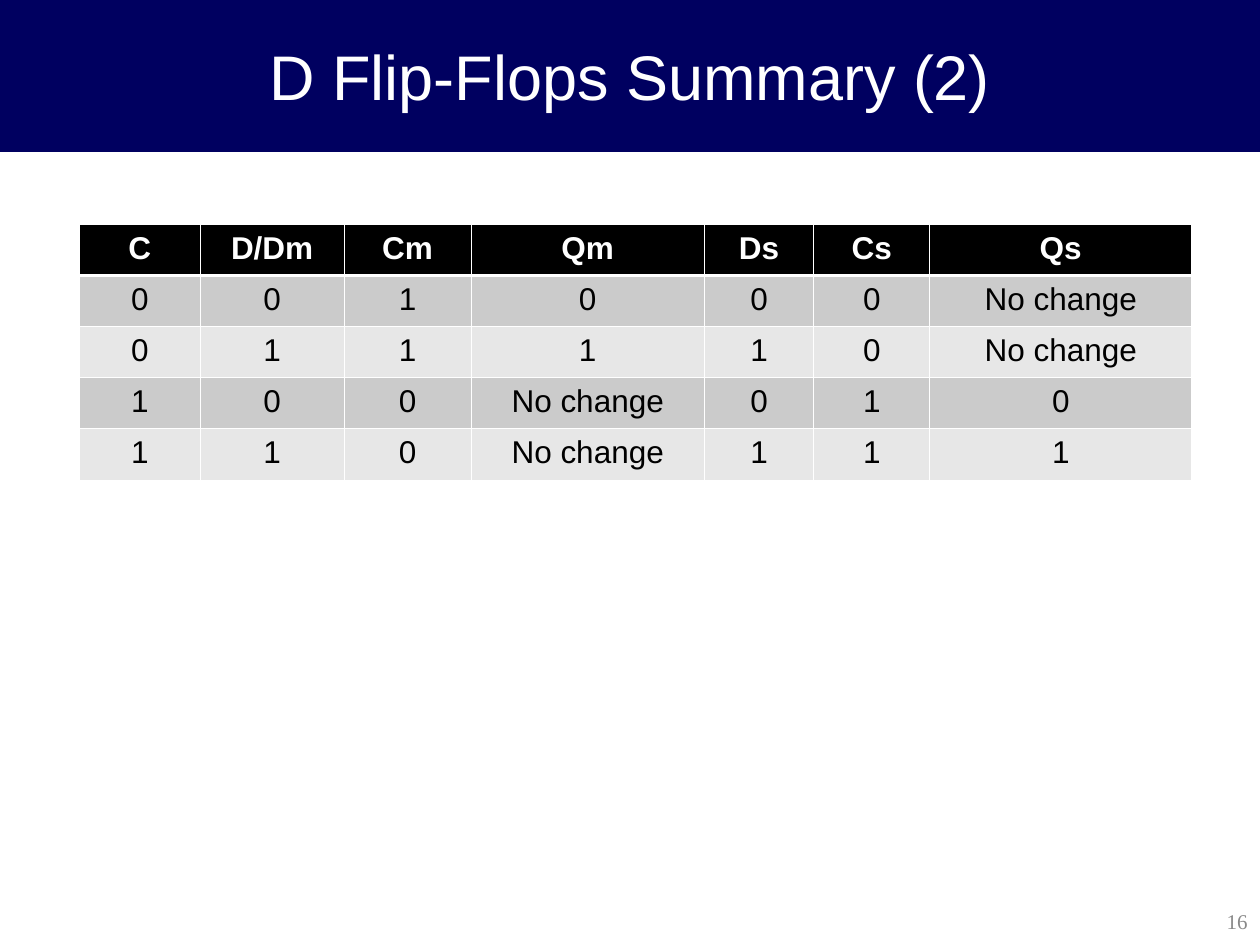
from dataclasses import dataclass

from lxml import etree
from pptx import Presentation
from pptx import util as u
from pptx.dml.color import RGBColor
from pptx.enum import shapes, text
from pptx.oxml.ns import qn

WIDTH, HEIGHT = u.Inches(10), u.Inches(7.5)
BANNER_SHARE = 0.16

NAVY = RGBColor(0x00, 0x00, 0x60)
WHITE = RGBColor(0xFF, 0xFF, 0xFF)
BLACK = RGBColor(0x00, 0x00, 0x00)
GREY = RGBColor(0x89, 0x89, 0x89)
DARK_BAND = RGBColor(0xCB, 0xCB, 0xCB)
LIGHT_BAND = RGBColor(0xE7, 0xE7, 0xE7)

THIN, THICK = u.Pt(0.45), u.Pt(1.47)

COLUMN_WIDTHS = (0.96, 1.14, 1.01, 1.85, 0.87, 0.92, 2.08)
TABLE_LEFT, TABLE_TOP, TABLE_HEIGHT = 0.63, 1.78, 2.03
KEEP = "No change"
ROWS = (
    ("C", "D/Dm", "Cm", "Qm", "Ds", "Cs", "Qs"),
    ("0", "0", "1", "0", "0", "0", KEEP),
    ("0", "1", "1", "1", "1", "0", KEEP),
    ("1", "0", "0", KEEP, "0", "1", "0"),
    ("1", "1", "0", KEEP, "1", "1", "1"),
)


@dataclass(frozen=True)
class TextStyle:
    """Look of one run of text and its alignment."""
    size: float
    font: str
    color: RGBColor
    align: text.PP_ALIGN = text.PP_ALIGN.CENTER
    bold: bool = False


@dataclass(frozen=True)
class Label:
    """A text box placed in shares of the slide's size."""
    words: str
    left: float
    top: float
    width: float
    height: float
    style: TextStyle


LABELS = (
    Label("D Flip-Flops Summary (2)", 0, 0, 1, BANNER_SHARE,
          TextStyle(36, "Arial", WHITE)),
    Label("16", 0.79, 0.95, 0.21, 0.05,
          TextStyle(12, "Times New Roman", GREY, text.PP_ALIGN.RIGHT)),
)
HEADER_STYLE = TextStyle(18, "Arial", WHITE, bold=True)
BODY_STYLE = TextStyle(18, "Arial", BLACK)


def write(frame, words: str, style: TextStyle) -> None:
    """Put styled words into a text frame."""
    frame.text = words
    paragraph = frame.paragraphs[0]
    paragraph.alignment = style.align
    font = paragraph.runs[0].font
    font.size, font.name, font.bold = u.Pt(style.size), style.font, style.bold
    font.color.rgb = style.color


def add_banner(slide) -> None:
    """Draw the band behind the title."""
    banner = slide.shapes.add_shape(
        shapes.MSO_SHAPE.RECTANGLE, 0, 0, WIDTH, int(HEIGHT * BANNER_SHARE))
    banner.shadow.inherit = False
    banner.fill.solid()
    banner.fill.fore_color.rgb = NAVY
    banner.line.color.rgb = NAVY
    banner.line.width = u.Pt(0.74)


def add_label(slide, label: Label) -> None:
    """Add a vertically centred text box."""
    box = slide.shapes.add_textbox(
        int(WIDTH * label.left), int(HEIGHT * label.top),
        int(WIDTH * label.width), int(HEIGHT * label.height))
    frame = box.text_frame
    frame.word_wrap = True
    frame.vertical_anchor = text.MSO_ANCHOR.MIDDLE
    write(frame, label.words, label.style)


def add_borders(cell, top: int, bottom: int) -> None:
    """Give a cell white borders, thin at its sides."""
    properties = cell._tc.get_or_add_tcPr()
    for side, width in (("L", THIN), ("R", THIN), ("T", top), ("B", bottom)):
        line = etree.SubElement(properties, qn(f"a:ln{side}"), w=str(width))
        fill = etree.SubElement(line, qn("a:solidFill"))
        etree.SubElement(fill, qn("a:srgbClr"), val=str(WHITE))


def add_truth_table(slide) -> None:
    """Add the table with a black header and banded rows."""
    table = slide.shapes.add_table(
        len(ROWS), len(COLUMN_WIDTHS), u.Inches(TABLE_LEFT), u.Inches(TABLE_TOP),
        u.Inches(sum(COLUMN_WIDTHS)), u.Inches(TABLE_HEIGHT)).table
    for column, width in zip(table.columns, COLUMN_WIDTHS):
        column.width = u.Inches(width)
    for row, values in enumerate(ROWS):
        header = row == 0
        band = BLACK if header else (LIGHT_BAND, DARK_BAND)[row % 2]
        for column, value in enumerate(values):
            cell = table.cell(row, column)
            add_borders(cell, THICK if row == 1 else THIN,
                        THICK if header else THIN)
            cell.fill.solid()
            cell.fill.fore_color.rgb = band
            write(cell.text_frame, value, HEADER_STYLE if header else BODY_STYLE)


def main() -> None:
    """Build and save the slide."""
    presentation = Presentation()
    presentation.slide_width, presentation.slide_height = WIDTH, HEIGHT
    slide = presentation.slides.add_slide(presentation.slide_layouts[6])
    add_banner(slide)
    for label in LABELS:
        add_label(slide, label)
    add_truth_table(slide)
    presentation.save("out.pptx")


main()
